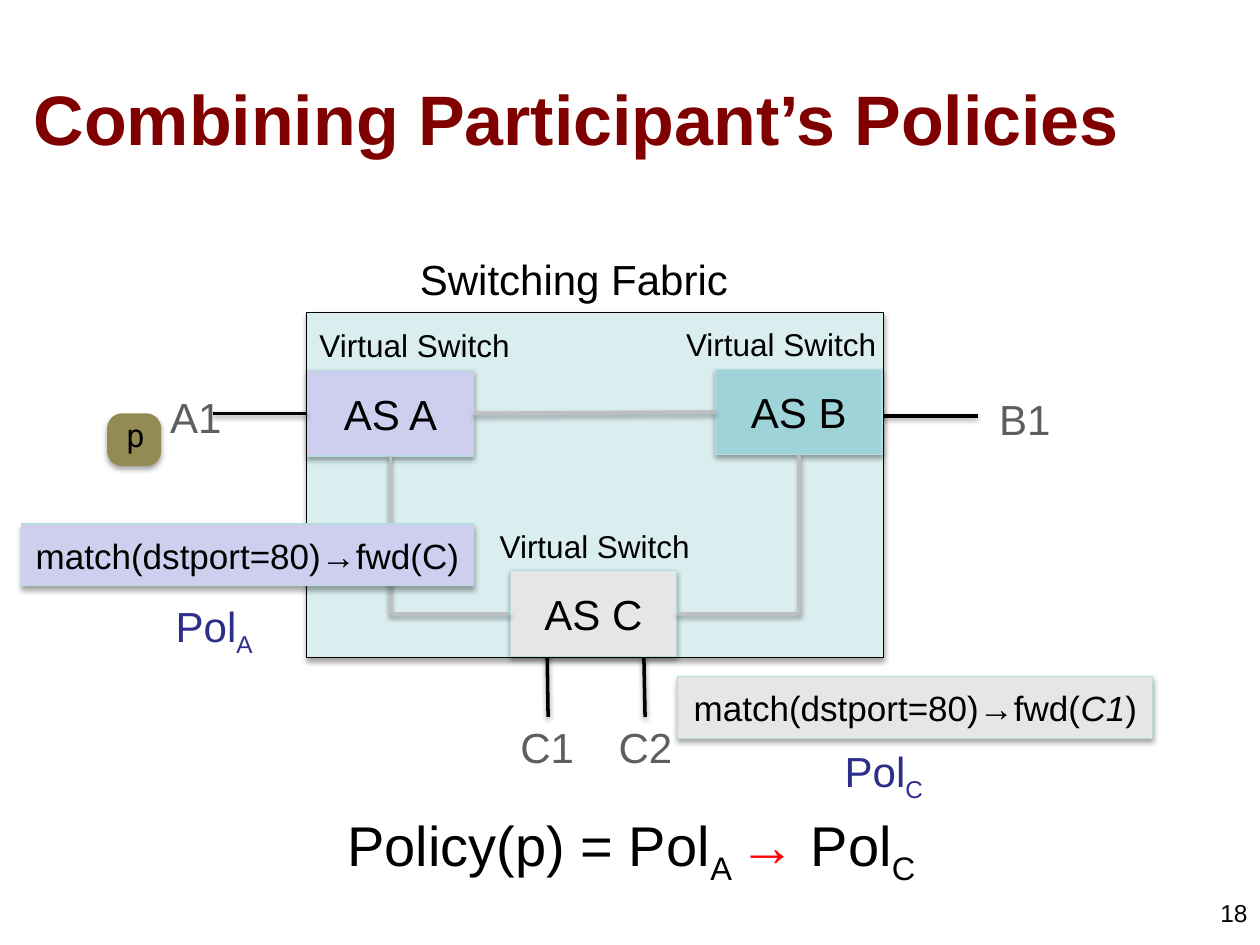
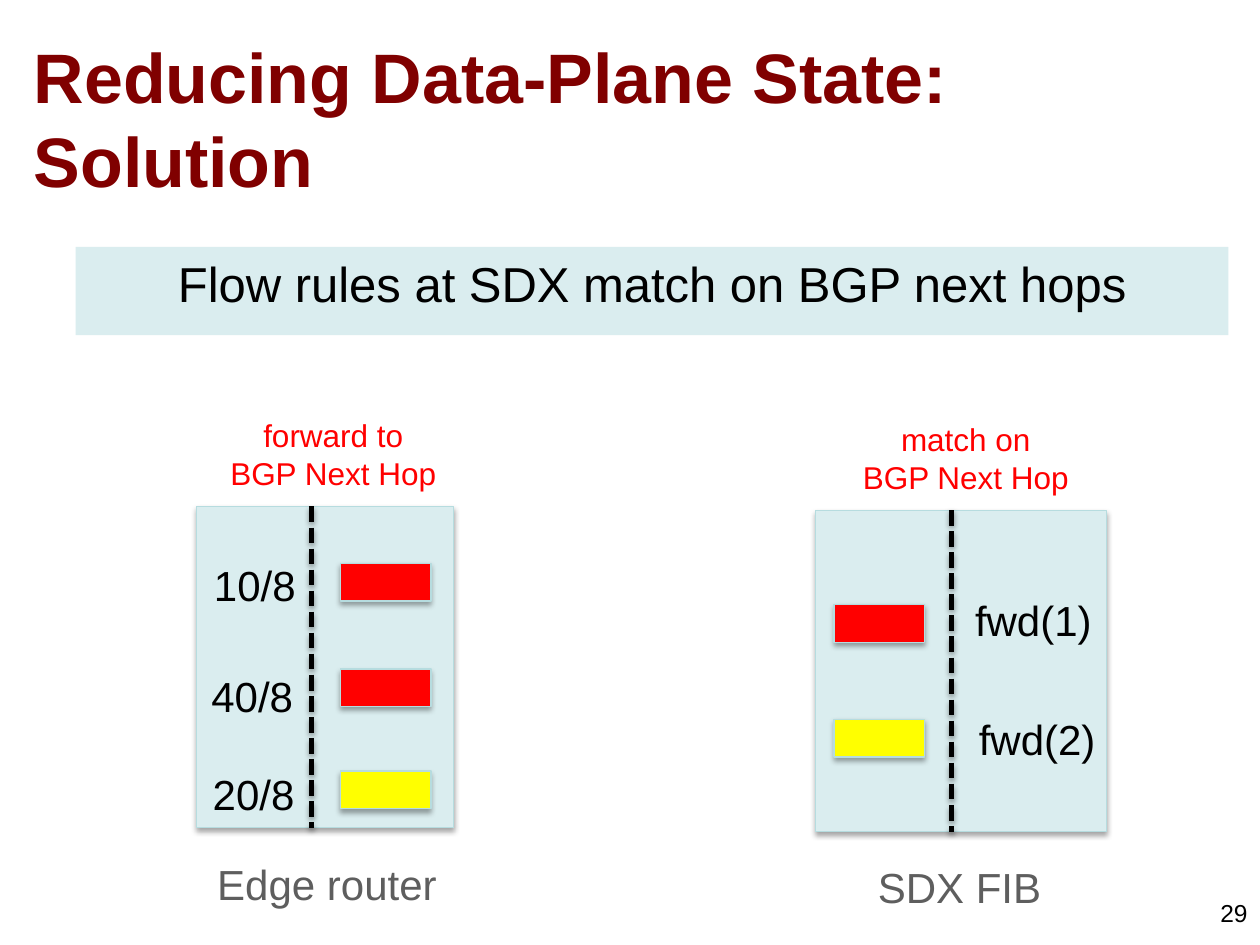
from lxml import etree
from pptx import Presentation
from pptx.dml.color import RGBColor
from pptx.enum.dml import MSO_LINE
from pptx.enum.shapes import MSO_CONNECTOR, MSO_SHAPE
from pptx.enum.text import MSO_ANCHOR, PP_ALIGN
from pptx.oxml.ns import qn
from pptx.util import Emu, Inches, Pt

RECT, ROUND = MSO_SHAPE.RECTANGLE, MSO_SHAPE.ROUNDED_RECTANGLE
LINE, ELBOW = MSO_CONNECTOR.STRAIGHT, MSO_CONNECTOR.ELBOW
DASH = MSO_LINE.SQUARE_DOT
LEFT, MID, RIGHT = PP_ALIGN.LEFT, PP_ALIGN.CENTER, PP_ALIGN.RIGHT
TOP, CENTRE = MSO_ANCHOR.TOP, MSO_ANCHOR.MIDDLE

HEX = {
    "black": "000000", "title": "800000", "grey": "5E5E5E", "navy": "2D2D8A",
    "red": "FF0000", "yellow": "FFFF00", "pale": "DAEDEF", "edge": "B6DCDF",
    "lilac": "CECEEF", "teal": "9ED3D7", "silver": "E6E6E6", "link": "BFBFBF",
    "olive": "948A54",
}
FONT, MONO = "Arial", "DejaVu Sans Mono"
WIDE, HIGH = Inches(10), Inches(7.5)
COLS, ROWS = 100, 75            # all lengths below are columns and rows
SUB = {"sub": True}


def tint(name):
    return RGBColor.from_string(HEX[name])


def col(n):
    return Emu(round(WIDE * n / COLS))


def row(n):
    return Emu(round(HIGH * n / ROWS))


def frame(box):
    x, y, w, h = box
    return col(x), row(y), col(w), row(h)


def part(box, x, y, w, h):
    return box[0] + x, box[1] + y, w, h


# Text, shape and line helpers

def write(item, lines, size, color="black", align=MID, anchor=TOP, wrap=True,
          inset=True, bold=None, font=FONT, space=None, before=None):
    """Each line is a string or a list of (text, options) runs."""
    body = item.text_frame
    body.word_wrap = wrap
    body.vertical_anchor = anchor
    if not inset:
        body.margin_left = body.margin_right = 0
        body.margin_top = body.margin_bottom = 0
    for i, line in enumerate(lines):
        para = body.add_paragraph() if i else body.paragraphs[0]
        para.alignment = align
        if space:
            para.line_spacing = space
        if before:
            para.space_before = Pt(before)
        for text, look in [(line, {})] if isinstance(line, str) else line:
            run = para.add_run()
            run.text = text
            run.font.name = font
            run.font.size = Pt(size)
            run.font.bold = bold
            run.font.italic = look.get("slant")
            run.font.color.rgb = tint(look.get("color", color))
            if look.get("sub"):
                run.font._element.set("baseline", "-25000")


def label(slide, box, lines, size, *args, **look):
    write(slide.shapes.add_textbox(*frame(box)), lines, size, *args, **look)


def shade(item, alpha, dist):
    props = item._element.spPr
    glow = props.find(qn("a:effectLst"))
    if glow is None:
        glow = etree.SubElement(props, qn("a:effectLst"))
    drop = etree.SubElement(glow, qn("a:outerShdw"), blurRad=str(Pt(3.1)),
                            dist=str(Pt(dist)), dir="5400000", rotWithShape="0")
    tone = etree.SubElement(drop, qn("a:srgbClr"), val=HEX["black"])
    etree.SubElement(tone, qn("a:alpha"), val=str(alpha * 1000))


def block(slide, box, fill, edge="edge", width=0.75, kind=RECT):
    item = slide.shapes.add_shape(kind, *frame(box))
    item.shadow.inherit = False
    item.fill.solid()
    item.fill.fore_color.rgb = tint(fill)
    if edge:
        item.line.color.rgb = tint(edge)
        item.line.width = Pt(width)
        shade(item, 35, 1.8)
    else:
        item.line.fill.background()
    return item


def wire(slide, box, start, end, color="black", width=2, kind=LINE):
    """An end is an (x, y) in the box, or a (shape, side) to join."""
    ends = [(0, 0) if hasattr(e[0], "shape_id")
            else (col(box[0] + e[0]), row(box[1] + e[1])) for e in (start, end)]
    item = slide.shapes.add_connector(kind, *ends[0], *ends[1])
    for tip, join in ((start, item.begin_connect), (end, item.end_connect)):
        if hasattr(tip[0], "shape_id"):
            join(*tip)
    if kind == ELBOW:
        item._element.spPr.find(qn("a:prstGeom")).set("prst", "bentConnector2")
    item.line.color.rgb = tint(color)
    item.line.width = Pt(width)
    shade(item, 38, 1.6)
    return item


# Shared by both slides

def page(deck, title, number):
    slide = deck.slides.add_slide(deck.slide_layouts[6])
    label(slide, (1.7, 3.1, 95.8, 12.5), title, 40, "title", LEFT, CENTRE,
          bold=True)
    label(slide, (76.7, 70.8, 23.3, 2.5), [number], 14, align=RIGHT)
    return slide


# Regions of the policy slide

def fabric(slide, box):
    block(slide, box, "pale", "black")
    label(slide, part(box, 7.9, -5.2, 26.7, 5), ["Switching Fabric"], 24,
          wrap=False)

    # Leads to the outer ports
    for start, end in (((44.3, 8.2), (53.3, 8.2)),
                       ((19.1, 25.2), (19.2, 32.1)),
                       ((26.8, 27.2), (26.9, 32.1))):
        wire(slide, box, start, end)
    for name, x, y in (("A1", -10.8, 5.9), ("B1", 55, 6),
                       ("C1", 17, 32.1), ("C2", 24.8, 32.1)):
        label(slide, part(box, x, y, 4.3, 4.4), [name], 24, "grey", LEFT,
              CENTRE, wrap=False, inset=False, space=1.1)

    # Virtual switches, each with its caption
    nodes = {}
    for name, x, y, fill, shift in (("A", 0.1, 4.6, "lilac", -0.2),
                                    ("B", 32.5, 4.5, "teal", -3.5),
                                    ("C", 16.2, 20.5, "silver", -2)):
        area = part(box, x, y, 13.2, 6.8)
        nodes[name] = block(slide, area, fill)
        write(nodes[name], ["AS " + name], 24, anchor=CENTRE)
        label(slide, part(area, shift, -4, 17.4, 4), ["Virtual Switch"], 18,
              wrap=False)

    # Links between switches
    a, b, c = nodes.values()
    wire(slide, box, (a, 1), (-7.4, 8))
    wire(slide, box, (b, 1), (a, 3), "link")
    wire(slide, box, (c, 1), (a, 2), "link", kind=ELBOW)
    wire(slide, box, (c, 3), (b, 2), "link", kind=ELBOW)


def packet(slide, box):
    block(slide, part(box, 0.2, 1, 2.9, 2.8), "olive", "olive", 10, ROUND)
    label(slide, box, ["p"], 18, align=LEFT, wrap=False, font=MONO)


def rule(slide, box, fill, runs, name, x, y):
    write(block(slide, box, fill), [runs], 20, anchor=CENTRE)
    label(slide, part(box, x, y, 10.5, 5),
          [[(" Pol", {}), (name + " ", SUB)]], 24, "navy")


def combine(deck):
    slide = page(deck, ["Combining Participant’s Policies"], "18")
    fabric(slide, (24.3, 24.8, 45.8, 27.4))
    packet(slide, (9, 32.5, 3.4, 4))
    rule(slide, (1.7, 41.6, 35.9, 4.9), "lilac",
         [("match(dstport=80)→fwd(C)", {})], "A", 9.8, 5.6)
    rule(slide, (53.8, 53.7, 37.7, 4.9), "silver",
         [("match(dstport=80)→fwd(", {}), ("C1", {"slant": True}), (")", {})],
         "C", 10.9, 5)
    label(slide, (25, 63.8, 50.2, 6.4),
          [[("Policy(p) = Pol", {}), ("A ", SUB), ("→ ", {"color": "red"}),
            ("Pol", {}), ("C", SUB)]], 32)


# Regions of the data-plane slide

def banner(slide, box):
    write(block(slide, box, "pale", None),
          ["Flow rules at SDX match on BGP next hops"], 28, before=4)


def lookup(slide, box, verb, name, split, chip, span, shift, rows):
    """span is the text width; rows: (text, x, y, chip fill, chip y)."""
    wide, high = box[2:]
    block(slide, box, "pale")
    wire(slide, box, (split, 0), (split, high), width=3).line.dash_style = DASH
    for text, x, y, fill, drop in rows:
        block(slide, part(box, chip, drop, 7.2, 3), fill)
        label(slide, part(box, x, y, span, 5), [text], 24, align=LEFT,
              wrap=False)
    label(slide, part(box, (wide - 18.5) / 2 + shift, -7.65, 18.5, 7.1),
          [verb, "BGP Next Hop"], 18, "red", wrap=False)
    label(slide, part(box, shift - 0.5, high + 1.3, wide, 5), [name], 24,
          "grey", anchor=CENTRE, wrap=False, inset=False, space=1.3)


def reduce(deck):
    slide = page(deck, ["Reducing Data-Plane State:", "Solution"], "29")
    banner(slide, (6, 19.6, 91.5, 7))
    lookup(slide, (15.6, 40.2, 20.4, 25.5), "forward to", "Edge router",
           9.1, 11.4, 8.6, 0.65, [("10/8", 0.4, 3.7, "red", 4.5),
                                  ("40/8", 0.2, 12.5, "red", 12.9),
                                  ("20/8", 0.3, 20.3, "yellow", 21)])
    lookup(slide, (64.7, 40.5, 23.1, 25.5), "match on", "SDX FIB",
           10.8, 1.5, 11.4, 0.4, [("fwd(1)", 11.7, 6.2, "red", 7.5),
                                  ("fwd(2)", 12, 15.6, "yellow", 16.6)])


def main():
    deck = Presentation()
    deck.slide_width, deck.slide_height = WIDE, HIGH
    combine(deck)
    reduce(deck)
    deck.save("out.pptx")


if __name__ == "__main__":
    main()
